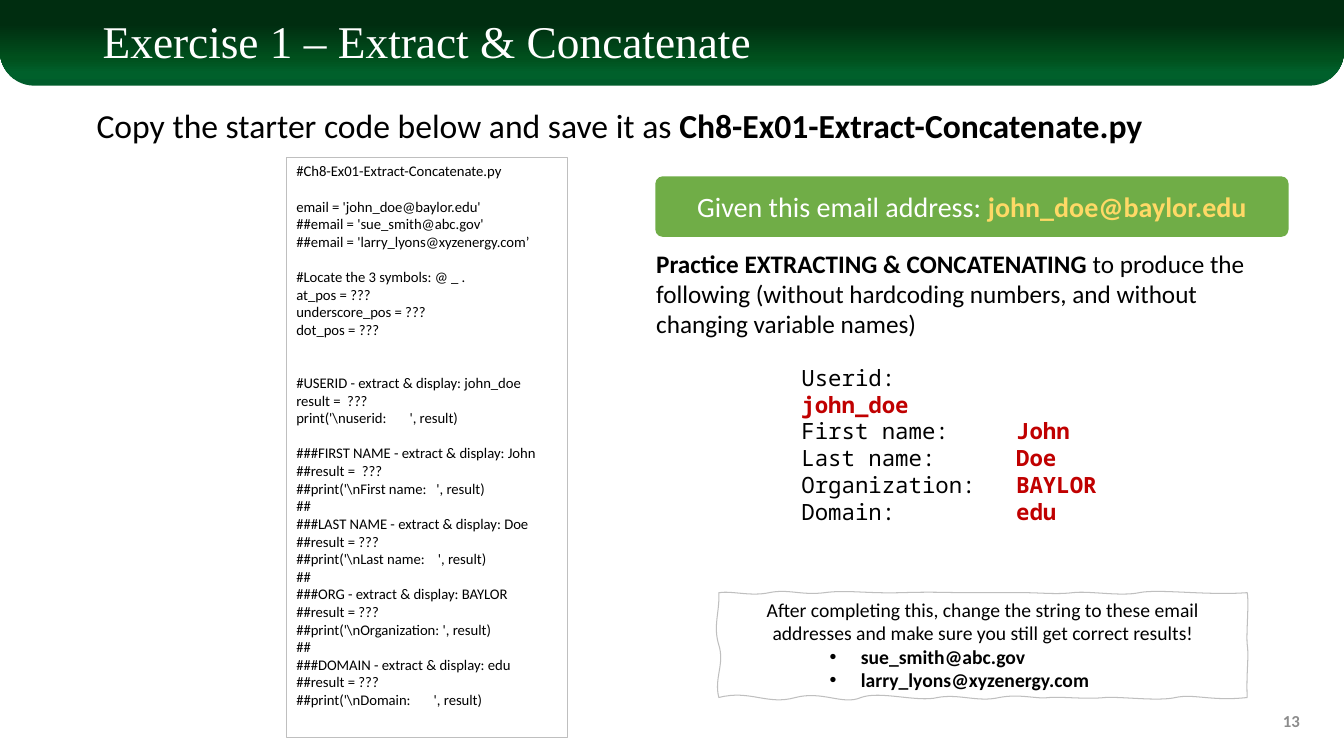
"""Build the slide for Exercise 1, Extract & Concatenate."""
import pptx
import pptx.util
import pptx.oxml
import pptx.oxml.ns
import pptx.dml.color
import pptx.enum.shapes
import pptx.enum.text

PX = 9144
RGB = pptx.dml.color.RGBColor
BLACK = RGB(0x00, 0x00, 0x00)
WHITE = RGB(0xFF, 0xFF, 0xFF)
GREEN = RGB(0x70, 0xAD, 0x47)
GOLD = RGB(0xFF, 0xD9, 0x66)
RED = RGB(0xC0, 0x00, 0x00)
SILVER = RGB(0xBF, 0xBF, 0xBF)
GRAY = RGB(0x8C, 0x8C, 0x8C)
KIND = pptx.enum.shapes.MSO_SHAPE
ALIGN = pptx.enum.text.PP_ALIGN
TOP = pptx.enum.text.MSO_ANCHOR.TOP
MID = pptx.enum.text.MSO_ANCHOR.MIDDLE
NS = pptx.oxml.ns.nsdecls("a")

deck = pptx.Presentation()
deck.slide_width, deck.slide_height = 1333 * PX, 750 * PX
slide = deck.slides.add_slide(deck.slide_layouts[6])
shapes = slide.shapes


def place(kind, left, top, width, height):
    """Add a text box, or a preset shape without a shadow."""
    area = [n * PX for n in (left, top, width, height)]
    if kind is None:
        return shapes.add_textbox(*area)
    shape = shapes.add_shape(kind, *area)
    shape.shadow.inherit = False
    shape.line.fill.background()
    return shape


def write(shape, rows, size, face="Calibri", align=ALIGN.LEFT, anchor=TOP):
    """Fill a shape with rows of (text, colour, bold) runs."""
    frame = shape.text_frame
    frame.word_wrap = True
    frame.vertical_anchor = anchor
    for i, row in enumerate(rows):
        para = frame.add_paragraph() if i else frame.paragraphs[0]
        para.alignment = align
        for text, color, bold in row:
            run = para.add_run()
            run.text = text
            run.font.name = face
            run.font.size = pptx.util.Pt(size)
            run.font.bold = bold
            run.font.color.rgb = color
    return frame.paragraphs


band = place(KIND.ROUND_2_SAME_RECTANGLE, 0, 0, 1333, 85)
band.adjustments[0] = 0.4
band.element.spPr.find(pptx.oxml.ns.qn("a:xfrm")).set("flipV", "1")
stops = [(0, "005C2B"), (15, "00602B"), (32, "00501D"), (72, "002D10")]
marks = "".join(
    f'<a:gs pos="{at * 1000}"><a:srgbClr val="{tone}"/></a:gs>'
    for at, tone in stops
)
band.element.spPr.find(pptx.oxml.ns.qn("a:prstGeom")).addnext(
    pptx.oxml.parse_xml(
        f'<a:gradFill {NS} rotWithShape="1"><a:gsLst>{marks}</a:gsLst>'
        '<a:lin ang="5400000" scaled="0"/></a:gradFill>'
    )
)

given = place(KIND.ROUNDED_RECTANGLE, 650, 175, 628, 60)
given.adjustments[0] = 0.12
given.fill.solid()
given.fill.fore_color.rgb = GREEN
write(given, [[("Given this email address: ", WHITE, False),
               ("john_doe@baylor.edu", GOLD, True)]],
      20, align=ALIGN.CENTER, anchor=MID)

task = place(None, 641, 241, 646, 101)
write(task, [[("Practice EXTRACTING & CONCATENATING", BLACK, True),
              (" to produce the following (without hardcoding numbers, "
               "and without changing variable names)", BLACK, False)]], 18)

curves = [
    (727, 586, 744, 592, 763, 588), (782, 584, 795, 591, 818, 588),
    (840, 585, 858, 589, 894, 588), (930, 587, 932, 588, 965, 588),
    (997, 588, 996, 588, 1014, 588), (1033, 588, 1047, 590, 1064, 588),
    (1081, 586, 1111, 592, 1130, 588), (1149, 584, 1197, 591, 1237, 588),
    (1239, 598, 1236, 628, 1237, 639), (1239, 651, 1236, 667, 1237, 692),
    (1202, 696, 1184, 688, 1166, 692), (1149, 696, 1113, 691, 1096, 692),
    (1078, 694, 1052, 691, 1041, 692), (1029, 694, 1012, 688, 991, 692),
    (970, 697, 951, 688, 930, 692), (910, 697, 873, 685, 854, 692),
    (836, 700, 816, 685, 789, 692), (761, 700, 744, 684, 713, 692),
    (708, 673, 719, 659, 713, 640), (707, 621, 714, 607, 713, 588),
]
left, top = 713, 588
pen = shapes.build_freeform(left, top, scale=PX)
pen.add_line_segments([curve[4:] for curve in curves], close=True)
note = pen.convert_to_shape()
sides = list(note.element.spPr.iter(pptx.oxml.ns.qn("a:lnTo")))
for side, curve in zip(sides, curves):
    knots = "".join(f'<a:pt x="{x - left}" y="{y - top}"/>'
                    for x, y in zip(curve[::2], curve[1::2]))
    side.getparent().replace(side, pptx.oxml.parse_xml(
        f'<a:cubicBezTo {NS}>{knots}</a:cubicBezTo>'))
note.shadow.inherit = False
note.fill.background()
note.line.color.rgb = SILVER
note.line.width = pptx.util.Pt(0.75)
paras = write(note, [
    [("After completing this, change the string to these email addresses "
      "and make sure you still get correct results!", BLACK, False)],
    [("sue_smith@abc.gov", BLACK, True)],
    [("larry_lyons@xyzenergy.com", BLACK, True)]], 14)
paras[0].alignment = ALIGN.CENTER
for para in paras[1:]:
    para.level = 2
    props = para._p.get_or_add_pPr()
    props.set("marL", str(131 * PX))
    props.set("indent", str(-31 * PX))
    props.append(pptx.oxml.parse_xml(f'<a:buFont {NS} typeface="Arial"/>'))
    props.append(pptx.oxml.parse_xml(f'<a:buChar {NS} char="•"/>'))

title = place(None, 92, 13, 1150, 61)
paras = write(title, [[("Exercise 1 – Extract & Concatenate", WHITE, False)]],
              32.4, "Times New Roman", anchor=MID)
paras[0].line_spacing = 0.9

number = place(None, 999, 695, 300, 40)
write(number, [[("13", GRAY, True)]], 12, align=ALIGN.RIGHT, anchor=MID)

intro = place(None, 86, 99, 1077, 50)
write(intro, [[("Copy the starter code below and save it as ", BLACK, False),
               ("Ch8-Ex01-Extract-Concatenate.py", BLACK, True)]], 24)

blocks = [
    (0, r"""#Ch8-Ex01-Extract-Concatenate.py"""),
    (1, r"""email = 'john_doe@baylor.edu'
##email = 'sue_smith@abc.gov'
##email = 'larry_lyons@xyzenergy.com’"""),
    (1, r"""#Locate the 3 symbols: @ _ .
at_pos = ???
underscore_pos = ???
dot_pos = ???"""),
    (2, r"""#USERID - extract & display: john_doe
result =  ???
print('\nuserid:       ', result)"""),
    (1, r"""###FIRST NAME - extract & display: John
##result =  ???
##print('\nFirst name:   ', result)
##
###LAST NAME - extract & display: Doe
##result = ???
##print('\nLast name:    ', result)
##
###ORG - extract & display: BAYLOR
##result = ???
##print('\nOrganization: ', result)
##
###DOMAIN - extract & display: edu
##result = ???
##print('\nDomain:       ', result)"""),
]
code = place(KIND.RECTANGLE, 284, 156, 279, 576)
code.fill.background()
code.line.color.rgb = SILVER
code.line.width = pptx.util.Pt(0.75)
lines = [(line, 0 if i else gap) for gap, block in blocks
         for i, line in enumerate(block.split("\n"))]
paras = write(code, [[(line, BLACK, False)] for line, gap in lines], 10.5)
for para, (line, gap) in zip(paras, lines):
    if gap:
        para.space_before = pptx.util.Pt(12.6 * gap)

facts = [("Userid:", "john_doe"), ("First name:", "John"),
         ("Last name:", "Doe"), ("Organization:", "BAYLOR"),
         ("Domain:", "edu")]
output = place(None, 785, 356, 315, 145)
paras = write(output, [[(name + "\t", BLACK, False), (value, RED, True)]
                       for name, value in facts], 16, "Noto Sans Mono")
for para in paras:
    para._p.get_or_add_pPr().append(pptx.oxml.parse_xml(
        f'<a:tabLst {NS}><a:tab pos="{213 * PX}" algn="l"/></a:tabLst>'))

deck.save("out.pptx")
